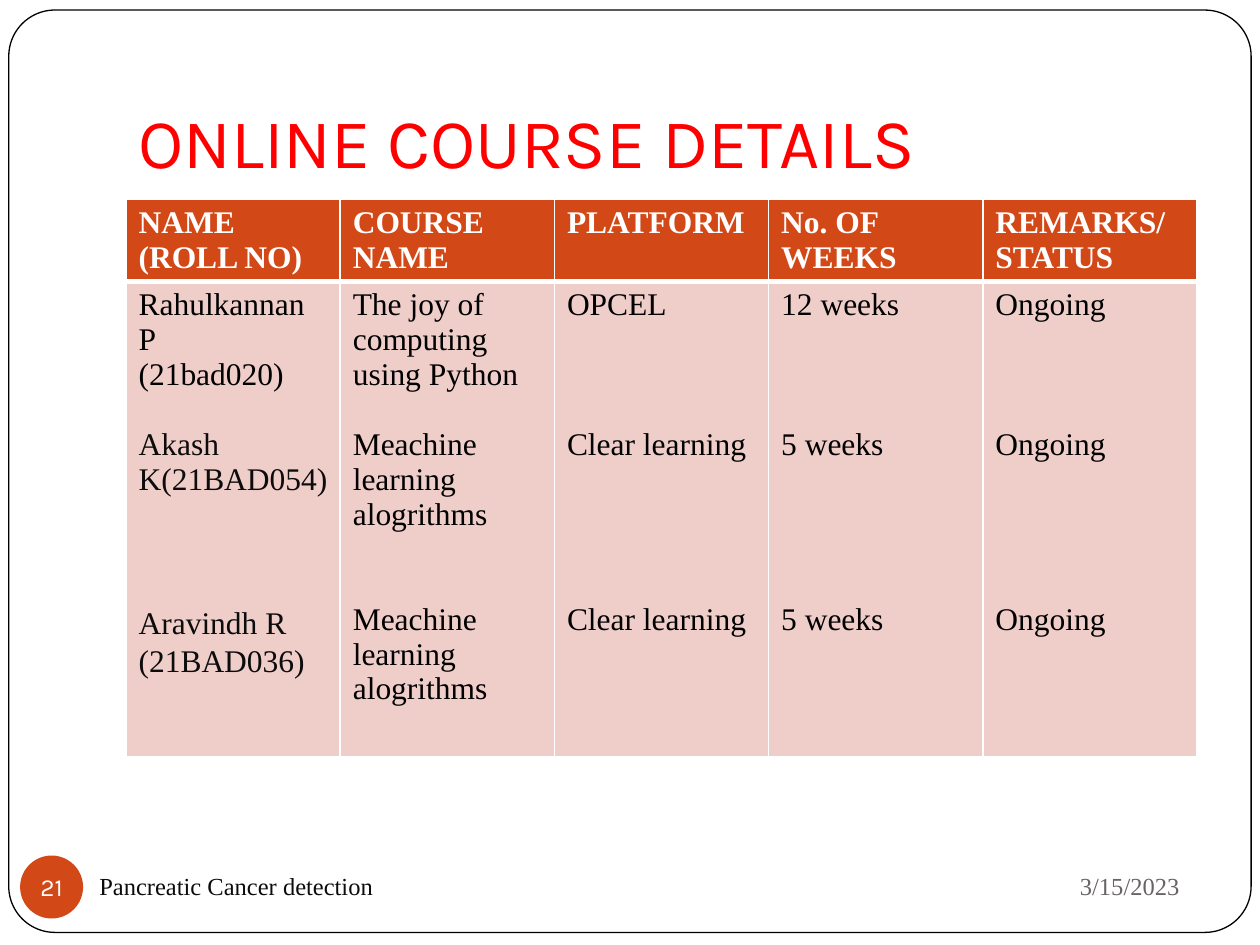
from pptx import Presentation
from pptx.dml.color import RGBColor
from pptx.enum.shapes import MSO_SHAPE
from pptx.enum.text import MSO_ANCHOR, MSO_AUTO_SIZE, PP_ALIGN
from pptx.oxml.ns import qn
from pptx.util import Inches, Pt
from lxml.etree import SubElement

COLORS = {
    "white": "FFFFFF", "black": "000000", "ink": "0C0C0C", "title": "FF0000",
    "accent": "D34817", "band": "EFCECA", "date": "696464",
}
SERIF, SANS = "Times New Roman", "Karla"
LINE = 20  # height in points of one line of table text

HEADERS = ["NAME\n(ROLL NO)", "COURSE NAME", "PLATFORM", "No. OF WEEKS", "REMARKS/ STATUS"]
# Each column: (text, space before in points, line spacing, colour)
STUDENTS = [
    ("Rahulkannan P", 0, 1, "black"),
    ("(21bad020)", 0, 1, "black"),
    ("Akash K(21BAD054)", LINE, 1, "ink"),
    ("Aravindh R", 3 * LINE + 5.8, 0.8, "ink"),
    ("(21BAD036)", 5.8, 0.8, "ink"),
]


def entries(texts, gaps):
    """Plain black table entries, with gaps counted in lines."""
    return [(text, gap * LINE, 1, "black") for text, gap in zip(texts, gaps)]


COURSES = ["The joy of computing using Python"] + ["Meachine learning alogrithms"] * 2
COLUMNS = [STUDENTS, entries(COURSES, (0, 1, 2))] + [
    entries(texts, (0, 3, 4))
    for texts in (
        ["OPCEL", "Clear learning", "Clear learning"],
        ["12 weeks", "5 weeks", "5 weeks"],
        ["Ongoing"] * 3,
    )
]


def rgb(name):
    return RGBColor.from_string(COLORS[name])


def style(para, size, color, font=SERIF, bold=False):
    for span in para.runs:
        span.font.size, span.font.name, span.font.bold = Pt(size), font, bold
        span.font.color.rgb = rgb(color)


def add_frame(page, left, top, width, height):
    frame = page.shapes.add_shape(MSO_SHAPE.ROUNDED_RECTANGLE, left, top, width, height)
    frame.adjustments[0] = 0.05
    frame.shadow.inherit = False
    frame.fill.solid()
    frame.fill.fore_color.rgb = rgb("white")
    frame.line.color.rgb = rgb("black")
    frame.line.width = Pt(0.75)
    # The frame lies behind the title
    page.shapes._spTree.insert(2, frame._element)


def set_title(page, left, top, width, height):
    title = page.shapes.title
    title.left, title.top, title.width, title.height = left, top, width, height
    text = title.text_frame
    text.text = "ONLINE COURSE DETAILS"
    text.auto_size = MSO_AUTO_SIZE.NONE
    text.vertical_anchor = MSO_ANCHOR.BOTTOM
    text.margin_bottom = Inches(0.1)
    para = text.paragraphs[0]
    para.alignment = PP_ALIGN.LEFT
    style(para, 40, "title", SANS)


def set_borders(cell, **widths):
    properties = cell._tc.get_or_add_tcPr()
    for side in "LRTB":
        line = SubElement(properties, qn(f"a:ln{side}"), w=str(Pt(widths.get(side, 1))))
        fill = SubElement(line, qn("a:solidFill"))
        SubElement(fill, qn("a:srgbClr"), val=COLORS["white"])


def fill_cell(cell, color):
    cell.fill.solid()
    cell.fill.fore_color.rgb = rgb(color)


def add_course_table(page, left, top, width, height):
    header_height = Inches(0.65)
    table = page.shapes.add_table(2, len(HEADERS), left, top, width, height).table
    table.rows[0].height = header_height
    table.rows[1].height = height - header_height
    for index, (header, column) in enumerate(zip(HEADERS, COLUMNS)):
        head, body = table.cell(0, index), table.cell(1, index)
        set_borders(head, B=3)
        fill_cell(head, "accent")
        head.text_frame.text = header
        for para in head.text_frame.paragraphs:
            style(para, 18, "white", bold=True)

        set_borders(body, T=3)
        fill_cell(body, "band")
        body.text_frame.text = "\n".join(entry[0] for entry in column)
        for para, (_, before, spacing, color) in zip(body.text_frame.paragraphs, column):
            para.space_before, para.line_spacing = Pt(before), spacing
            style(para, 18, color)


def add_footer_text(page, words, color, alignment, left, top, width, height):
    box = page.shapes.add_textbox(left, top, width, height)
    text = box.text_frame
    text.text = words
    text.word_wrap = True
    text.vertical_anchor = MSO_ANCHOR.MIDDLE
    text.paragraphs[0].alignment = alignment
    style(text.paragraphs[0], 14, color)


def add_page_number(page, left, top, size):
    badge = page.shapes.add_shape(MSO_SHAPE.OVAL, left, top, size, size)
    badge.shadow.inherit = False
    badge.fill.solid()
    badge.fill.fore_color.rgb = rgb("accent")
    badge.line.fill.background()
    text = badge.text_frame
    text.text = "21"
    text.margin_left = text.margin_right = text.margin_top = text.margin_bottom = 0
    text.vertical_anchor = MSO_ANCHOR.MIDDLE
    text.paragraphs[0].alignment = PP_ALIGN.CENTER
    style(text.paragraphs[0], 14, "white", SANS)


def main():
    deck = Presentation()
    deck.slide_width, deck.slide_height = Inches(10), Inches(7.5)
    page = deck.slides.add_slide(deck.slide_layouts[5])
    add_frame(page, Inches(0.07), Inches(0.08), Inches(9.86), Inches(7.32))
    set_title(page, Inches(1), Inches(0.3), Inches(8.5), Inches(1.25))
    add_course_table(page, Inches(1), Inches(1.58), Inches(8.5), Inches(4.42))
    add_footer_text(page, "3/15/2023", "date", PP_ALIGN.RIGHT,
                    Inches(6.75), Inches(6.77), Inches(2.71), Inches(0.52))
    add_footer_text(page, "Pancreatic Cancer detection", "ink", PP_ALIGN.LEFT,
                    Inches(0.69), Inches(6.78), Inches(4.33), Inches(0.5))
    add_page_number(page, Inches(0.16), Inches(6.79), Inches(0.5))
    deck.save("out.pptx")


if __name__ == "__main__":
    main()
